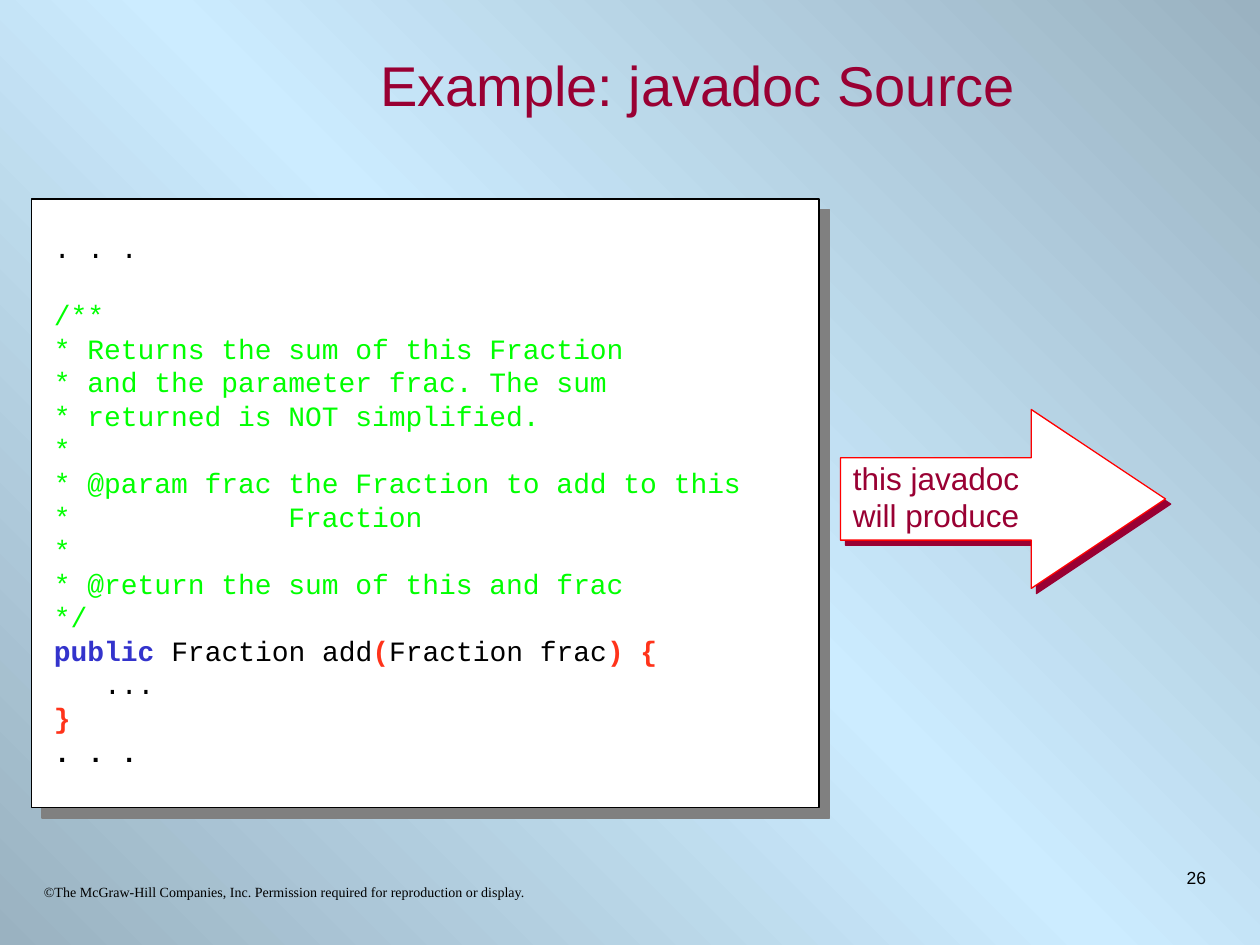
"""Build the javadoc source example slide."""
from lxml import etree
from pptx import Presentation
from pptx.dml.color import RGBColor as RGB
from pptx.enum.shapes import MSO_SHAPE as Shape
from pptx.enum.text import MSO_ANCHOR as Anchor, PP_ALIGN as Align
from pptx.oxml import parse_xml
from pptx.oxml.ns import nsdecls, qn
from pptx.util import Inches, Pt

HUES = {
    "wine": "990033", "ink": "000000", "note": "00FF00", "word": "3333CC",
    "mark": "FF331A", "white": "FFFFFF", "red": "FF0000", "gray": "808080",
    "steel": "9AB2C1", "sky": "CCECFF",
}


def add_text(box, lines, size, face, pitch=None):
    slot = slide.shapes.add_textbox(*map(Inches, box))
    frame = slot.text_frame
    frame.word_wrap = True
    for i, line in enumerate(lines):
        para = frame.paragraphs[0] if i == 0 else frame.add_paragraph()
        if pitch:
            para.line_spacing = Pt(pitch)
        for text, hue, bold in line:
            run = para.add_run()
            run.text = text
            font = run.font
            font.size, font.name, font.bold = Pt(size), face, bold
            font.color.rgb = RGB.from_string(HUES[hue])
    return frame


def add_block(kind, box, edge, shade, dist):
    block = slide.shapes.add_shape(kind, *map(Inches, box))
    block.fill.solid()
    block.fill.fore_color.rgb = RGB.from_string(HUES["white"])
    block.line.color.rgb = RGB.from_string(HUES[edge])
    block.line.width = Pt(0.75)
    block.shadow.inherit = False
    cast = etree.SubElement(
        block.element.spPr.find(qn("a:effectLst")), qn("a:outerShdw"),
        blurRad="0", dist=str(Pt(dist)), dir="2700000", algn="ctr", rotWithShape="0")
    etree.SubElement(cast, qn("a:srgbClr"), val=HUES[shade])
    return block


deck = Presentation()
deck.slide_width, deck.slide_height = Inches(10), Inches(7.5)
slide = deck.slides.add_slide(deck.slide_layouts[6])

stops = "".join(
    f'<a:gs pos="{pos}"><a:srgbClr val="{HUES[hue]}"/></a:gs>'
    for pos, hue in ((0, "steel"), (50000, "sky"), (100000, "steel")))
slide.element.cSld.insert(0, parse_xml(
    f'<p:bg {nsdecls("p", "a")}><p:bgPr><a:gradFill rotWithShape="0">'
    f'<a:gsLst>{stops}</a:gsLst><a:lin ang="8100000" scaled="0"/></a:gradFill>'
    '<a:effectLst/></p:bgPr></p:bg>'))

title = add_text((1.5, 0.25, 8.08, 0.83),
                 [[("Example: javadoc Source", "wine", False)]], 32, "Arial")
title.vertical_anchor = Anchor.MIDDLE
title.paragraphs[0].alignment = Align.CENTER

notes = """/**
* Returns the sum of this Fraction
* and the parameter frac. The sum
* returned is NOT simplified.
*
* @param frac the Fraction to add to this
*             Fraction
*
* @return the sum of this and frac
*/""".split("\n")
code = [
    [(". . .", "ink", False)],
    *[[(note, "note", False)] for note in notes],
    [("public ", "word", True), ("Fraction add", "ink", False), ("(", "mark", True),
     ("Fraction frac", "ink", False), (") {", "mark", True)],
    [("   ...", "ink", False)],
    [("}", "mark", True)],
    [(". . .", "ink", True)],
]
add_block(Shape.RECTANGLE, (0.25, 1.58, 6.25, 4.83), "ink", "gray", 8.5)
listing = add_text((0.33, 1.78, 7.45, 4.37), code, 16, "Courier New", 19.2)
listing.paragraphs[1].space_before = Pt(19.2)

arrow = add_block(Shape.RIGHT_ARROW, (6.67, 3.25, 2.58, 1.42), "red", "wine", 4.2)
arrow.adjustments[0], arrow.adjustments[1] = 0.46, 0.75
label = add_text((6.67, 3.59, 1.52, 0.7),
                 [[(text, "wine", False)] for text in ("this javadoc", "will produce")],
                 18, "Arial", 21.6)
label.word_wrap = False

add_text((0.25, 6.96, 4.64, 0.29),
         [[("©The McGraw-Hill Companies, Inc. Permission required for "
            "reproduction or display.", "ink", False)]], 8, "Times New Roman")
page = add_text((7.5, 6.83, 2.17, 0.5), [[("26", "ink", False)]], 10, "Arial")
page.paragraphs[0].alignment = Align.RIGHT

deck.save("out.pptx")
